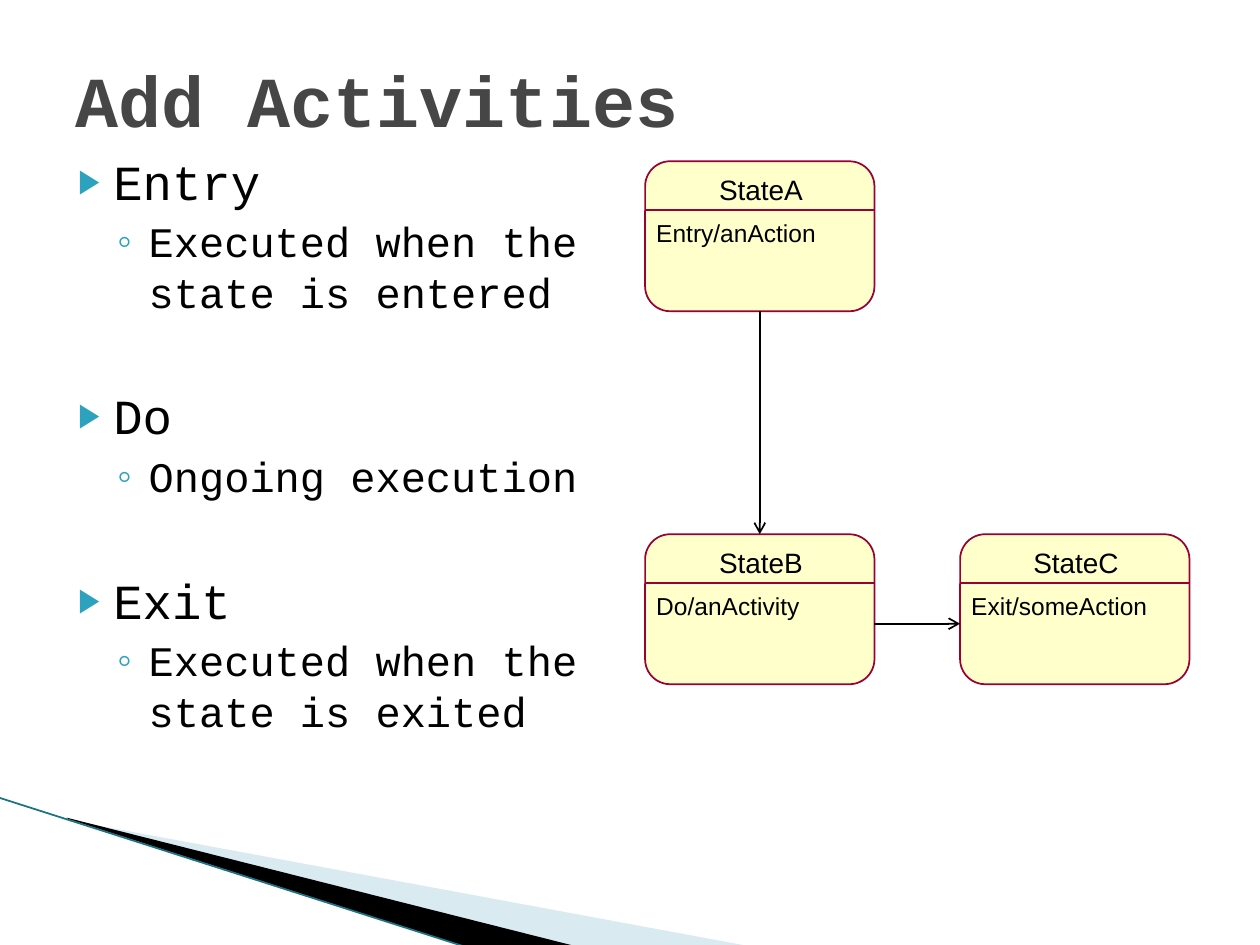
from lxml import etree
from pptx import Presentation
from pptx import util as u
from pptx.dml.color import RGBColor
from pptx.enum import shapes, text
from pptx.oxml.ns import qn

TITLE = "Add Activities"
OUTLINE = [
    ("Entry", "Executed when the state is entered"),
    ("Do", "Ongoing execution"),
    ("Exit", "Executed when the state is exited"),
]
STATES = [
    ("StateA", "Entry/anAction", 0, 0),
    ("StateB", "Do/anActivity", 0, 1),
    ("StateC", "Exit/someAction", 1, 1),
]
SWOOSHES = [
    ([(0.55, 6.51), (5.95, 7.51), (4.56, 7.51), (0.55, 6.5)], "A0CBDC", 40),
    ([(0.53, 6.49), (4.57, 7.51), (3.72, 7.52), (0.54, 6.5)], "000000", 100),
]
LEVELS = [
    dict(size=28, margin=0.4, indent=-0.28, before=4, bullet="▶", scale=68),
    dict(size=24, margin=0.68, indent=-0.25, before=3.2, bullet="◦", scale=100),
]
GROUP_GAP = 39.7
GRID_LEFT, GRID_TOP, COLUMN_STEP, ROW_STEP = 5.12, 1.28, 2.5, 2.96
STATE_WIDTH, STATE_HEIGHT, HEADER_HEIGHT = 1.82, 1.19, 0.385
EXIT_ARROW_Y = 4.95


def color(value):
    return RGBColor.from_string(value)


def add_element(parent, tag, **attributes):
    return etree.SubElement(parent, qn(tag), attributes)


def set_font(paragraph, name, size, value, bold=False):
    font = paragraph.font
    font.name, font.size, font.bold = name, u.Pt(size), bold
    font.color.rgb = color(value)


def place(shape, left, top, width, height):
    shape.left, shape.top = u.Inches(left), u.Inches(top)
    shape.width, shape.height = u.Inches(width), u.Inches(height)


def add_line(slide, start, end, value, arrow=False):
    line = slide.shapes.add_connector(
        shapes.MSO_CONNECTOR.STRAIGHT, *map(u.Inches, start + end))
    line.line.color.rgb = color(value)
    line.line.width = u.Pt(1)
    if arrow:
        add_element(line.line._get_or_add_ln(), "a:tailEnd", type="arrow")
    add_element(line._element.spPr, "a:effectLst")
    return line


def add_swoosh(slide, points, value, opacity):
    corners = [(u.Inches(x), u.Inches(y)) for x, y in points]
    builder = slide.shapes.build_freeform(*corners[0])
    builder.add_line_segments(corners[1:], close=True)
    shape = builder.convert_to_shape()
    shape.shadow.inherit = False
    shape.fill.solid()
    shape.fill.fore_color.rgb = color(value)
    shape.line.fill.background()
    if opacity < 100:
        fill = shape._element.spPr.find(qn("a:solidFill"))
        add_element(fill[0], "a:alpha", val=str(opacity * 1000))


def add_label(slide, words, left, top, width, height, size, alignment):
    box = slide.shapes.add_textbox(*map(u.Inches, (left, top, width, height)))
    box.text_frame.word_wrap = True
    paragraph = box.text_frame.paragraphs[0]
    paragraph.text, paragraph.alignment = words, alignment
    set_font(paragraph, "Arial", size, "000000")


def add_state(slide, name, activity, column, row):
    left = GRID_LEFT + column * COLUMN_STEP
    top = GRID_TOP + row * ROW_STEP
    divider = top + HEADER_HEIGHT
    shape = slide.shapes.add_shape(
        shapes.MSO_SHAPE.ROUNDED_RECTANGLE,
        *map(u.Inches, (left, top, STATE_WIDTH, STATE_HEIGHT)))
    shape.shadow.inherit = False
    shape.fill.solid()
    shape.fill.fore_color.rgb = color("FFFFCC")
    shape.line.color.rgb = color("990033")
    shape.line.width = u.Pt(1)
    add_label(slide, name, left + 0.24, top + 0.04, 1.36, 0.37, 16, text.PP_ALIGN.CENTER)
    add_label(slide, activity, left - 0.01, divider + 0.02, 1.81, 0.33, 14, text.PP_ALIGN.LEFT)
    add_line(slide, (left, divider), (left + STATE_WIDTH, divider), "990033")
    return shape


def add_item(paragraph, words, style, before):
    paragraph.text = words
    properties = paragraph._p.get_or_add_pPr()
    properties.set("marL", str(u.Inches(style["margin"])))
    properties.set("indent", str(u.Inches(style["indent"])))
    add_element(add_element(properties, "a:buClr"), "a:srgbClr", val="2DA2BF")
    add_element(properties, "a:buSzPct", val=str(style["scale"] * 1000))
    add_element(properties, "a:buChar", char=style["bullet"])
    paragraph.space_before = u.Pt(before)
    set_font(paragraph, "Courier New", style["size"], "000000")


def fill_title(title):
    place(title, 0.5, 0.16, 9, 1.25)
    frame = title.text_frame
    frame.auto_size = text.MSO_AUTO_SIZE.NONE
    frame.vertical_anchor = text.MSO_ANCHOR.MIDDLE
    paragraph = frame.paragraphs[0]
    paragraph.text, paragraph.alignment = TITLE, text.PP_ALIGN.LEFT
    set_font(paragraph, "Courier New", 41, "464646", bold=True)


def fill_outline(body):
    place(body, 0.4, 1.15, 4.57, 5.52)
    frame = body.text_frame
    frame.auto_size = text.MSO_AUTO_SIZE.NONE
    for index, group in enumerate(OUTLINE):
        for level, words in enumerate(group):
            first = index == level == 0
            paragraph = frame.paragraphs[0] if first else frame.add_paragraph()
            paragraph.level = level
            before = LEVELS[level]["before"] if level else GROUP_GAP * (index > 0)
            add_item(paragraph, words, LEVELS[level], before)


def main():
    presentation = Presentation()
    presentation.slide_width, presentation.slide_height = u.Inches(10), u.Inches(7.5)
    slide = presentation.slides.add_slide(presentation.slide_layouts[1])
    for swoosh in SWOOSHES:
        add_swoosh(slide, *swoosh)
    add_line(slide, (-0.01, 6.33), (3.71, 7.52), "1C7385")
    fill_title(slide.shapes.title)
    fill_outline(slide.placeholders[1])

    states = {state[0]: add_state(slide, *state) for state in STATES}
    middle = GRID_LEFT + STATE_WIDTH / 2
    entry_arrow = add_line(slide, (middle, GRID_TOP + STATE_HEIGHT),
                           (middle, GRID_TOP + ROW_STEP), "000000", arrow=True)
    entry_arrow.begin_connect(states["StateA"], 2)
    entry_arrow.end_connect(states["StateB"], 0)
    add_line(slide, (GRID_LEFT + STATE_WIDTH, EXIT_ARROW_Y),
             (GRID_LEFT + COLUMN_STEP, EXIT_ARROW_Y), "000000", arrow=True)
    presentation.save("out.pptx")


if __name__ == "__main__":
    main()
